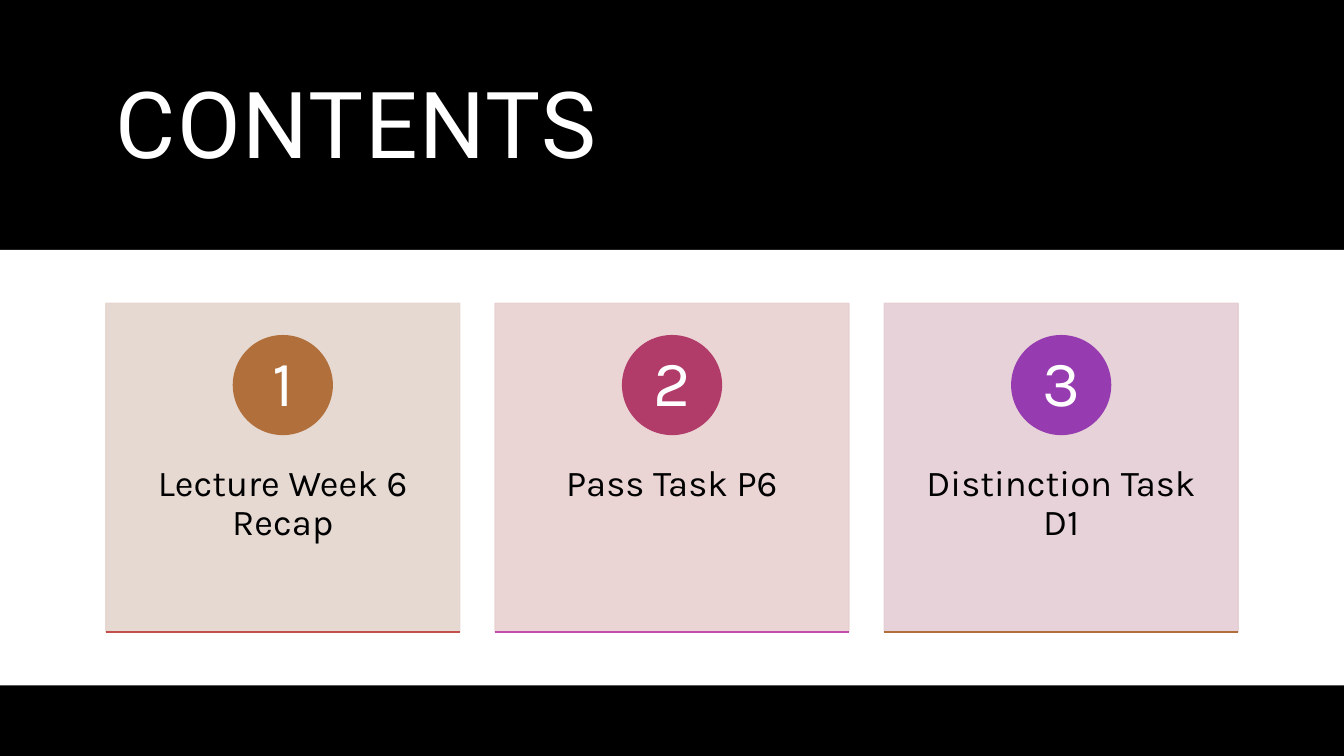
"""Build the contents slide: a title over three numbered topic cards."""
import dataclasses

import lxml.etree
import pptx
import pptx.dml.color
import pptx.enum.shapes
import pptx.enum.text
import pptx.oxml.ns
import pptx.util

Inches = pptx.util.Inches
RGBColor = pptx.dml.color.RGBColor
Shape = pptx.enum.shapes.MSO_SHAPE
Align = pptx.enum.text.PP_ALIGN
Anchor = pptx.enum.text.MSO_ANCHOR
qn = pptx.oxml.ns.qn

BLACK = RGBColor(0x00, 0x00, 0x00)
WHITE = RGBColor(0xFF, 0xFF, 0xFF)
SAND = RGBColor(0xE4, 0xD5, 0xCE)
BLUSH = RGBColor(0xE9, 0xD0, 0xD0)
MAUVE = RGBColor(0xE4, 0xCE, 0xD4)
COPPER = RGBColor(0xB1, 0x70, 0x3B)
RASPBERRY = RGBColor(0xB1, 0x3B, 0x69)
VIOLET = RGBColor(0x97, 0x3B, 0xB1)
RED = RGBColor(0xC3, 0x50, 0x4D)
PINK = RGBColor(0xC3, 0x4D, 0xAC)

SLIDE_WIDTH, SLIDE_HEIGHT = 13.33, 7.5
CARD_LEFT, CARD_TOP, CARD_WIDTH, CARD_HEIGHT = 1.05, 3.01, 3.51, 3.26
CARD_STEP = 3.86
BADGE_SIZE, NUMBER_SIZE = 0.98, 0.69


@dataclasses.dataclass(frozen=True)
class Topic:
    label: str
    card: RGBColor
    badge: RGBColor
    rule: RGBColor


TOPICS = (
    Topic("Lecture Week 6 Recap", SAND, COPPER, RED),
    Topic("Pass Task P6", BLUSH, RASPBERRY, PINK),
    Topic("Distinction Task D1", MAUVE, VIOLET, COPPER),
)


def write(frame, text: str, *, size: float, color: RGBColor, font: str = "Karla",
          align=Align.CENTER, anchor=Anchor.MIDDLE,
          inset: tuple[float, float] = (0.1, 0.05), spacing: float = 0) -> None:
    frame.word_wrap = True
    frame.auto_size = pptx.enum.text.MSO_AUTO_SIZE.NONE
    frame.vertical_anchor = anchor
    frame.margin_left = frame.margin_right = Inches(inset[0])
    frame.margin_top = frame.margin_bottom = Inches(inset[1])
    paragraph = frame.paragraphs[0]
    paragraph.alignment = align
    paragraph.line_spacing = 0.9
    run = paragraph.add_run()
    run.text = text
    run.font.name = font
    run.font.size = pptx.util.Pt(size)
    run.font.color.rgb = color
    if spacing:
        run.font._element.set("spc", str(round(spacing * 100)))


def add_block(shapes, kind, box: tuple[float, float, float, float], color: RGBColor,
              outlined: bool = False, opacity: int = 100):
    block = shapes.add_shape(kind, *map(Inches, box))
    block.shadow.inherit = False
    block.fill.solid()
    block.fill.fore_color.rgb = color
    if outlined:
        block.line.color.rgb = color
        block.line.width = pptx.util.Pt(1)
    else:
        block.line.fill.background()
    if opacity < 100:
        for tint in block.element.spPr.iter(qn("a:srgbClr")):
            lxml.etree.SubElement(tint, qn("a:alpha"), val=str(opacity * 1000))
    return block


def add_rule(shapes, left: float, top: float, width: float, color: RGBColor) -> None:
    rule = shapes.add_connector(
        pptx.enum.shapes.MSO_CONNECTOR.STRAIGHT,
        Inches(left), Inches(top), Inches(left + width), Inches(top))
    rule.line.color.rgb = color
    rule.line.width = pptx.util.Pt(1)
    lxml.etree.SubElement(rule.element.spPr, qn("a:effectLst"))


def add_card(slide, position: int, topic: Topic) -> None:
    shapes = slide.shapes.add_group_shape().shapes
    left = CARD_LEFT + position * CARD_STEP
    center = left + CARD_WIDTH / 2
    add_block(shapes, Shape.RECTANGLE, (left, CARD_TOP, CARD_WIDTH, CARD_HEIGHT),
              topic.card, outlined=True, opacity=90)
    label = shapes.add_textbox(*map(Inches, (left, 4.25, CARD_WIDTH, 1.96)))
    write(label.text_frame, topic.label, size=26, color=BLACK,
          anchor=Anchor.TOP, inset=(0.27, 0.36))
    add_block(shapes, Shape.OVAL,
              (center - BADGE_SIZE / 2, 3.33, BADGE_SIZE, BADGE_SIZE),
              topic.badge, outlined=True)
    number = shapes.add_textbox(*map(
        Inches, (center - NUMBER_SIZE / 2, 3.48, NUMBER_SIZE, NUMBER_SIZE)))
    write(number.text_frame, str(position + 1), size=46, color=WHITE,
          inset=(0.08, 0.01))
    add_rule(shapes, left, CARD_TOP + CARD_HEIGHT, CARD_WIDTH, topic.rule)


def main() -> None:
    presentation = pptx.Presentation()
    presentation.slide_width = Inches(SLIDE_WIDTH)
    presentation.slide_height = Inches(SLIDE_HEIGHT)
    slide = presentation.slides.add_slide(presentation.slide_layouts[5])

    backdrop = add_block(slide.shapes, Shape.RECTANGLE,
                         (0, 0, SLIDE_WIDTH, SLIDE_HEIGHT), BLACK)
    heading = slide.shapes.title
    heading.element.addprevious(backdrop.element)
    heading.left, heading.top = Inches(1.05), Inches(0.35)
    heading.width, heading.height = Inches(11.23), Inches(1.86)
    write(heading.text_frame, "CONTENTS", size=66, color=WHITE, font="Roboto",
          align=Align.LEFT, spacing=1.2)

    add_block(slide.shapes, Shape.RECTANGLE, (0, 2.48, SLIDE_WIDTH, 4.32), WHITE)
    for position, topic in enumerate(TOPICS):
        add_card(slide, position, topic)
    presentation.save("out.pptx")


if __name__ == "__main__":
    main()
